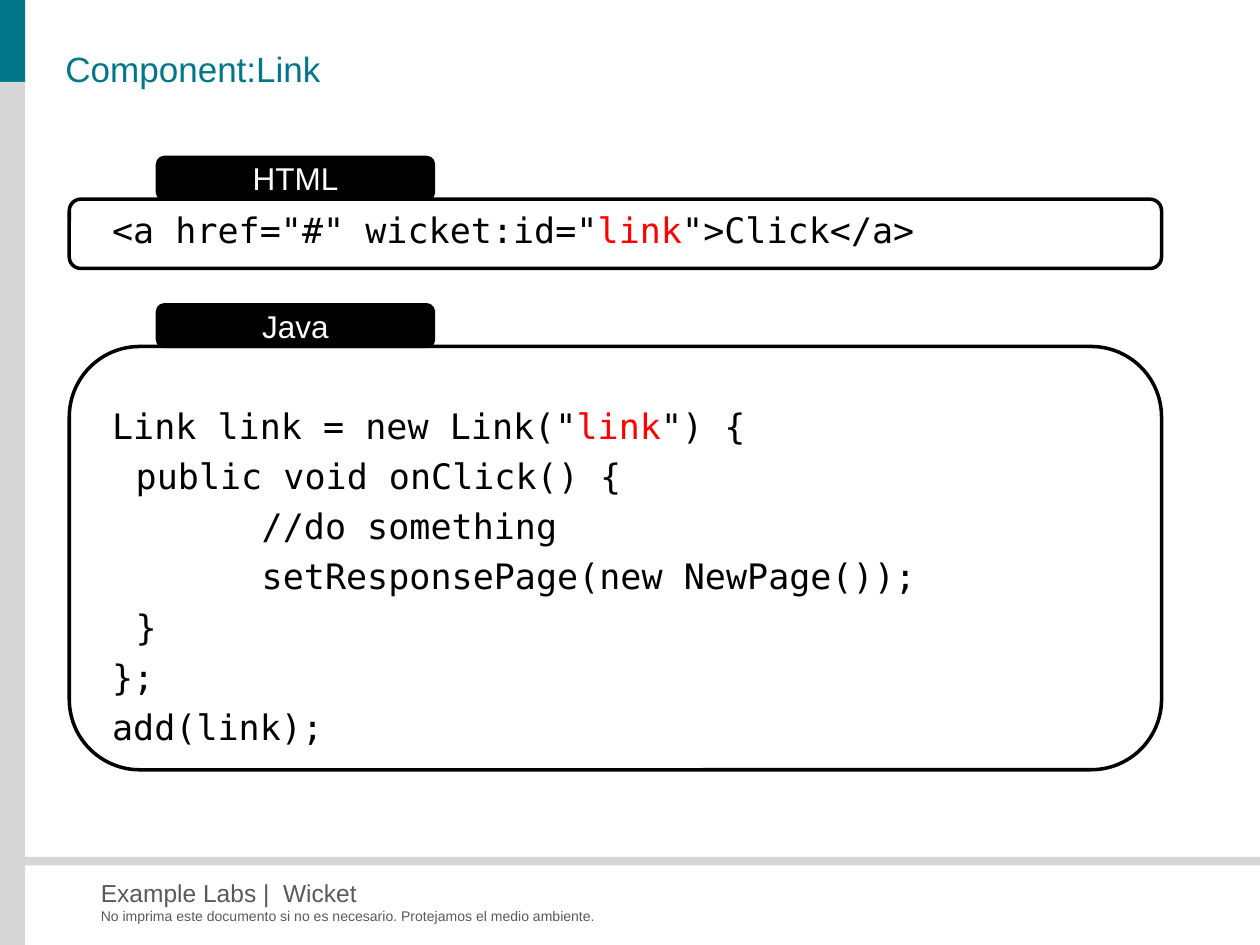
from pptx import Presentation
from pptx.dml.color import RGBColor
from pptx.enum.shapes import MSO_SHAPE
from pptx.enum.text import MSO_ANCHOR, PP_ALIGN
from pptx.util import Pt

RECT, ROUND = MSO_SHAPE.RECTANGLE, MSO_SHAPE.ROUNDED_RECTANGLE
TOP, MIDDLE = MSO_ANCHOR.TOP, MSO_ANCHOR.MIDDLE
LEFT, CENTER = PP_ALIGN.LEFT, PP_ALIGN.CENTER
SANS, MONO = "Arial", "DejaVu Sans Mono"
COLORS = {"teal": "007788", "gray": "D6D6D6", "note": "595959",
          "black": "000000", "white": "FFFFFF", "red": "FF0000"}
INDENTS = [0, 13.5, 85.5]  # left margin of each code level

# Each line of code: level, then its runs
HTML = [(0, [('<a href="#" wicket:id="', "black"), ("link", "red"),
             ('">Click</a>', "black")])]
JAVA = [(0, [('Link link = new Link("', "black"), ("link", "red"),
             ('") {', "black")]),
        (1, [("public void onClick() {", "black")]),
        (2, [("//do something", "black")]),
        (2, [("setResponsePage(new NewPage());", "black")]),
        (1, [("}", "black")]),
        (0, [("};", "black")]),
        (0, [("add(link);", "black")])]


def rgb(name):
    return RGBColor.from_string(COLORS[name])


def add_shape(slide, kind, box, fill=None, line=None):
    shape = slide.shapes.add_shape(kind, *map(Pt, box))
    shape.shadow.inherit = False
    if fill:
        shape.fill.solid()
        shape.fill.fore_color.rgb = rgb(fill)
    else:
        shape.fill.background()
    if line:
        shape.line.color.rgb = rgb(line)
        shape.line.width = Pt(2)
    else:
        shape.line.fill.background()
    return shape


def set_text(shape, lines, size, font=SANS, anchor=TOP, align=LEFT, gap=0):
    frame = shape.text_frame
    frame.word_wrap = True
    frame.vertical_anchor = anchor
    frame.margin_left = frame.margin_right = 0
    frame.margin_top = frame.margin_bottom = 0
    for i, (level, runs) in enumerate(lines):
        para = frame.paragraphs[0] if i == 0 else frame.add_paragraph()
        para.alignment = align
        para.space_before = Pt(gap if i else 0)
        if level:
            para._p.get_or_add_pPr().set("marL", str(Pt(INDENTS[level])))
        for text, color in runs:
            run = para.add_run()
            run.text = text
            run.font.name = font
            run.font.size = Pt(size)
            run.font.color.rgb = rgb(color)


def add_text(slide, box, lines, size, **style):
    set_text(slide.shapes.add_textbox(*map(Pt, box)), lines, size, **style)


def add_side(slide, box):
    x, y, w, h = box
    head = 46.8
    add_shape(slide, RECT, (x, y, w, head), "teal")
    add_shape(slide, RECT, (x, y + head, w, h - head), "gray")


def add_foot(slide, box):
    x, y, w, h = box
    add_shape(slide, RECT, (x, y, w, 5), "gray")
    add_text(slide, (x + 45.4, y + 12.2, 517, 16.6),
             [(0, [("Example Labs |  Wicket", "note")])], 14)
    add_text(slide, (x + 45.4, y + 28.8, 478.8, 9.4),
             [(0, [("No imprima este documento si no es necesario. "
                    "Protejamos el medio ambiente.", "note")])], 8)


def add_panel(slide, box, label, code, drop):
    x, y, w, h = box
    # Code, starting a drop below the top of the frame
    add_text(slide, (x + 24.5, y + drop, w - 36, h - drop), code, 20,
             font=MONO, gap=4.66)
    # Label tab standing on the frame
    tab = add_shape(slide, ROUND, (x + 50.4, y - 23.8, 157.7, 23.8),
                    "black", "black")
    set_text(tab, [(0, [(label, "white")])], 18, anchor=MIDDLE, align=CENTER)
    # Frame
    add_shape(slide, ROUND, box, line="black")


def main():
    deck = Presentation()
    deck.slide_width, deck.slide_height = Pt(720), Pt(540)
    slide = deck.slides.add_slide(deck.slide_layouts[6])
    add_side(slide, (0, 0, 14.4, 540))
    add_foot(slide, (12.2, 489.6, 707.8, 50.4))
    add_text(slide, (37.4, 27.4, 665.3, 23),
             [(0, [("Component:Link", "teal")])], 20, anchor=MIDDLE)
    add_panel(slide, (39.6, 113.8, 624.2, 39.6), "HTML", HTML, 5.3)
    add_panel(slide, (39.6, 198, 624.2, 241.9), "Java", JAVA, 33.1)
    deck.save("out.pptx")


if __name__ == "__main__":
    main()
